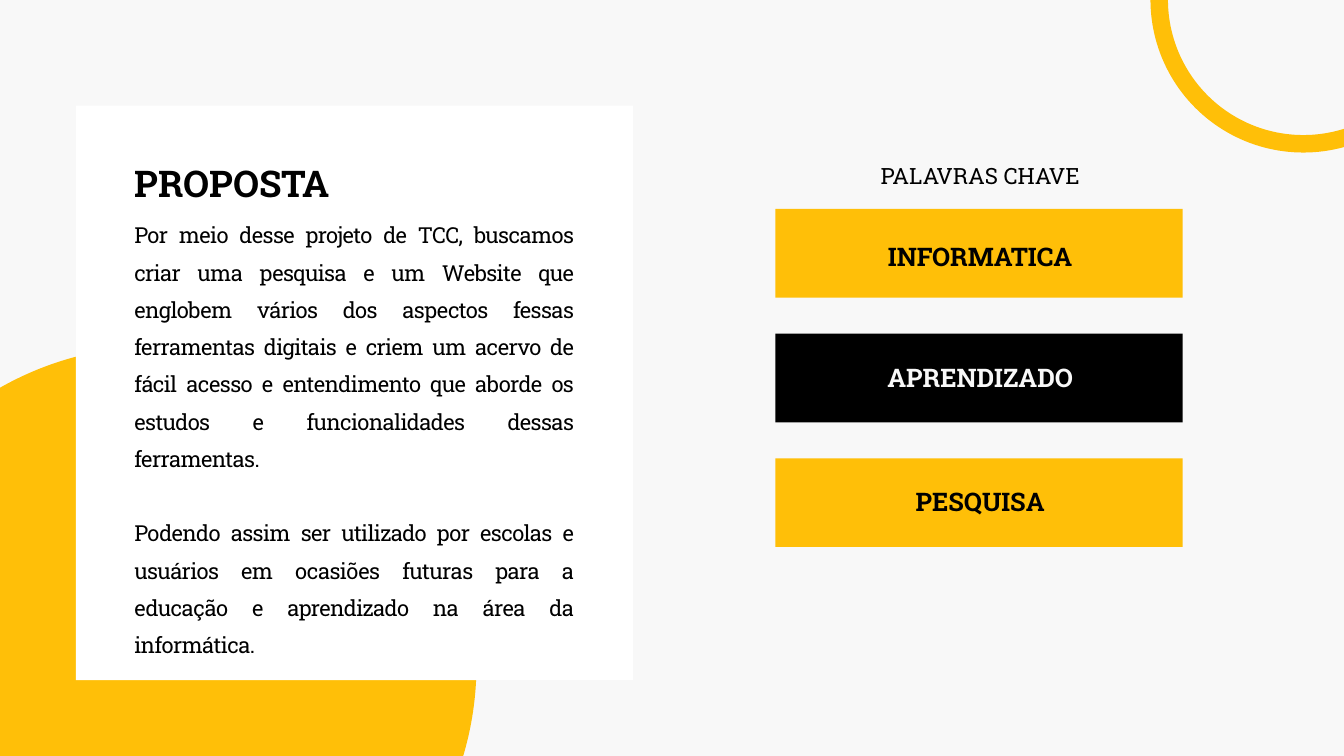
from typing import NamedTuple

from pptx import Presentation
from pptx.dml.color import RGBColor
from pptx.enum.shapes import MSO_SHAPE
from pptx.enum.text import PP_ALIGN
from pptx.util import Inches, Pt

RECTANGLE, OVAL = MSO_SHAPE.RECTANGLE, MSO_SHAPE.OVAL
LEFT, CENTER, JUSTIFY = PP_ALIGN.LEFT, PP_ALIGN.CENTER, PP_ALIGN.JUSTIFY

FONT = "Roboto Slab"
COLORS = {
    "background": "F8F8F8",
    "yellow": "FFBF08",
    "black": "000000",
    "white": "FFFFFF",
}


class Box(NamedTuple):
    left: float
    top: float
    width: float
    height: float

    def lengths(self) -> list:
        return [Inches(value) for value in self]


class Keyword(NamedTuple):
    text: str
    fill: str
    color: str
    label_offset: float


KEYWORDS = [
    Keyword("INFORMATICA", "yellow", "black", 0.51),
    Keyword("APRENDIZADO", "black", "background", 0.46),
    Keyword("PESQUISA", "yellow", "black", 0.45),
]
KEYWORD_TOP = 3.11
KEYWORD_STEP = 1.855

PROPOSAL = [
    "Por meio desse projeto de TCC, buscamos criar uma pesquisa e um Website "
    "que englobem vários dos aspectos fessas ferramentas digitais e criem um "
    "acervo de fácil acesso e entendimento que aborde os estudos e "
    "funcionalidades dessas ferramentas.",
    "Podendo assim ser utilizado por escolas e usuários em ocasiões futuras "
    "para a educação e aprendizado na área da informática.",
]


def rgb(color: str) -> RGBColor:
    return RGBColor.from_string(COLORS[color])


def add_figure(slide, kind, box: Box, fill: str = "", line: str = "",
               line_width: float = 0) -> None:
    figure = slide.shapes.add_shape(kind, *box.lengths())
    figure.shadow.inherit = False
    if fill:
        figure.fill.solid()
        figure.fill.fore_color.rgb = rgb(fill)
    else:
        figure.fill.background()
    if line:
        figure.line.color.rgb = rgb(line)
        figure.line.width = Pt(line_width)
    else:
        figure.line.fill.background()


def add_text(slide, paragraphs: list[str], box: Box, *, size: float,
             line_spacing: float, color: str = "black", bold: bool = False,
             align=CENTER, gap: float = 0, tracking: float = 0) -> None:
    frame = slide.shapes.add_textbox(*box.lengths()).text_frame
    frame.word_wrap = True
    frame.margin_left = frame.margin_right = 0
    frame.margin_top = frame.margin_bottom = 0
    for index, text in enumerate(paragraphs):
        paragraph = frame.add_paragraph() if index else frame.paragraphs[0]
        paragraph.alignment = align
        paragraph.line_spacing = Pt(line_spacing)
        if index and gap:
            paragraph.space_before = Pt(gap)
        run = paragraph.add_run()
        run.text = text
        run.font.name = FONT
        run.font.size = Pt(size)
        run.font.bold = bold
        run.font.color.rgb = rgb(color)
        if tracking:
            run._r.get_or_add_rPr().set("spc", str(round(tracking * 100)))


def add_keyword(slide, keyword: Keyword, top: float) -> None:
    add_figure(slide, RECTANGLE, Box(11.54, top, 6.06, 1.32), fill=keyword.fill)
    add_text(slide, [keyword.text],
             Box(11.57, top + keyword.label_offset, 6.03, 0.43),
             size=27.4, line_spacing=30.1, color=keyword.color, bold=True)


def main() -> None:
    presentation = Presentation()
    presentation.slide_width = Inches(20)
    presentation.slide_height = Inches(11.25)
    slide = presentation.slides.add_slide(presentation.slide_layouts[6])
    slide.background.fill.solid()
    slide.background.fill.fore_color.rgb = rgb("background")

    add_figure(slide, OVAL, Box(-2.4, 5.15, 9.49, 9.49), fill="yellow")
    add_figure(slide, RECTANGLE, Box(1.13, 1.57, 8.29, 8.55), fill="white")
    add_text(slide, PROPOSAL, Box(2, 3.14, 6.53, 6.59), size=23.6,
             line_spacing=39.9, align=JUSTIFY, gap=39.9, tracking=-0.7)
    add_text(slide, ["PROPOSTA"], Box(2, 2.45, 5.67, 0.61), size=39.4,
             line_spacing=43.3, bold=True, align=LEFT)
    add_figure(slide, OVAL, Box(17.25, -2.15, 4.29, 4.29), line="yellow",
               line_width=18.75)

    for index, keyword in enumerate(KEYWORDS):
        add_keyword(slide, keyword, KEYWORD_TOP + index * KEYWORD_STEP)
    add_text(slide, ["PALAVRAS CHAVE"], Box(12.52, 2.44, 4.13, 0.37), size=24,
             line_spacing=26.4)

    presentation.save("out.pptx")


if __name__ == "__main__":
    main()
